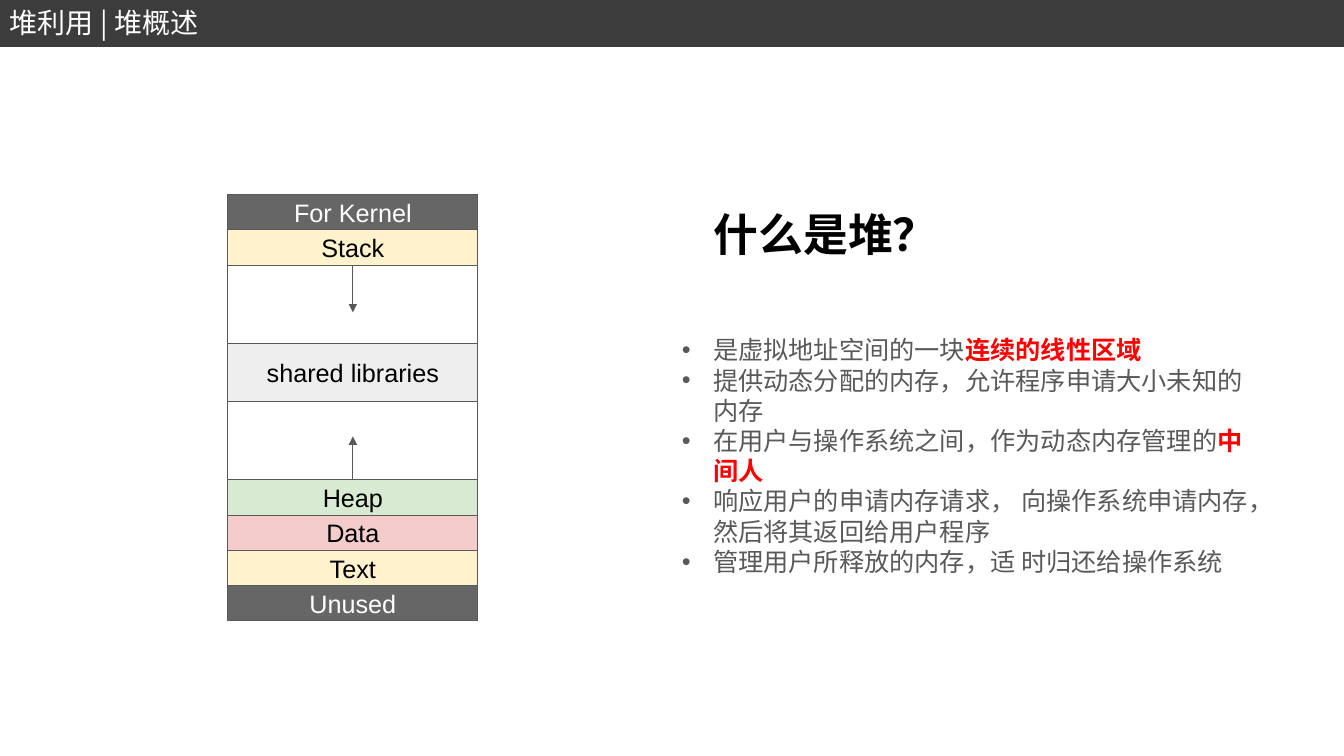
from lxml import etree
from pptx import Presentation
from pptx import util as u
from pptx.dml.color import RGBColor
from pptx.enum import shapes, text
from pptx.oxml import ns

WIDE, HIGH = 13.33, 7.5
SANS, HAN = "Arial", "Noto Sans CJK SC"
HUES = {
    "bar": "3C3C3C", "dark": "666666", "edge": "595959", "gray": "EEEEEE",
    "cream": "FFF2CC", "green": "D9EAD3", "pink": "F4CCCC",
    "white": "FFFFFF", "black": "000000", "red": "FF0000",
}

HEADER = "堆利用 | 堆概述"
TITLE = "什么是堆？"
# Label, height, fill, text colour
REGIONS = [
    ("For Kernel", 0.35, "dark", "white"),
    ("Stack", 0.35, "cream", "black"),
    ("", 0.78, "white", "black"),
    ("shared libraries", 0.57, "gray", "black"),
    ("", 0.78, "white", "black"),
    ("Heap", 0.35, "green", "black"),
    ("Data", 0.35, "pink", "black"),
    ("Text", 0.35, "cream", "black"),
    ("Unused", 0.35, "dark", "white"),
]
GROWTH = {"Stack": 0.47, "Heap": -0.43}  # arrow length, down is positive
# Each point alternates plain and stressed runs
POINTS = [
    ("是虚拟地址空间的一块", "连续的线性区域"),
    ("提供动态分配的内存，允许程序申请大小未知的内存",),
    ("在用户与操作系统之间，作为动态内存管理的", "中间人"),
    ("响应用户的申请内存请求， 向操作系统申请内存，然后将其返回给用户程序",),
    ("管理用户所释放的内存，适 时归还给操作系统",),
]
LEFT, TOP, SPAN = 2.26, 1.93, 2.48
INDENT = 0.31

deck = Presentation()
deck.slide_width, deck.slide_height = u.Inches(WIDE), u.Inches(HIGH)
slide = deck.slides.add_slide(deck.slide_layouts[6])


def color(name):
    return RGBColor.from_string(HUES[name])


def write(para, words, size=18, face=HAN, hue="black", bold=False):
    run = para.add_run()
    run.text = words
    font = run.font
    font.size, font.bold, font.name = u.Pt(size), bold, face
    font.color.rgb = color(hue)
    east = etree.SubElement(font._element, ns.qn("a:ea"))
    east.set("typeface", face)


def block(x, y, w, h, fill, edge, weight):
    box = slide.shapes.add_shape(
        shapes.MSO_SHAPE.RECTANGLE, *map(u.Inches, (x, y, w, h)))
    box.shadow.inherit = False
    box.fill.solid()
    box.fill.fore_color.rgb = color(fill)
    box.line.color.rgb = color(edge)
    box.line.width = u.Pt(weight)
    return box


def frame(x, y, w, h, wrap=True):
    area = slide.shapes.add_textbox(*map(u.Inches, (x, y, w, h))).text_frame
    area.word_wrap = wrap
    area.auto_size = text.MSO_AUTO_SIZE.SHAPE_TO_FIT_TEXT
    return area


def arrow(x, start, end):
    line = slide.shapes.add_connector(
        shapes.MSO_CONNECTOR.STRAIGHT, *map(u.Inches, (x, start, x, end)))
    line.line.color.rgb = color("edge")
    line.line.width = u.Pt(0.75)
    tip = etree.SubElement(line.line._get_or_add_ln(), ns.qn("a:tailEnd"))
    tip.set("type", "triangle")
    etree.SubElement(line._element.spPr, ns.qn("a:effectLst"))


def bullet(para):
    props = para._p.get_or_add_pPr()
    props.set("marL", str(u.Inches(INDENT)))
    props.set("indent", str(-u.Inches(INDENT)))
    etree.SubElement(props, ns.qn("a:buFont")).set("typeface", SANS)
    etree.SubElement(props, ns.qn("a:buChar")).set("char", "•")


block(0, 0.01, WIDE, 0.44, "bar", "bar", 2)

y = TOP
starts = {}
for label, tall, fill, hue in REGIONS:
    box = block(LEFT, y, SPAN, tall, fill, "edge", 0.75)
    if label:
        area = box.text_frame
        area.margin_top = area.margin_bottom = u.Inches(0.1)
        area.vertical_anchor = text.MSO_ANCHOR.MIDDLE
        para = area.paragraphs[0]
        para.alignment = text.PP_ALIGN.CENTER
        write(para, label, face=SANS, hue=hue)
    if label in GROWTH:
        starts[label] = y + tall if GROWTH[label] > 0 else y
    y += tall
for label, start in starts.items():
    arrow(LEFT + SPAN / 2, start, start + GROWTH[label])

write(frame(6.98, 2, 2.45, 0.64, wrap=False).paragraphs[0],
      TITLE, size=32, bold=True)

area = frame(WIDE / 2, 3.27, 5.93, 2.52)
for i, runs in enumerate(POINTS):
    para = area.add_paragraph() if i else area.paragraphs[0]
    bullet(para)
    for j, words in enumerate(runs):
        write(para, words, hue="red" if j else "edge", bold=bool(j))

write(frame(0, 0.01, 6.17, 0.44).paragraphs[0], HEADER, size=20, hue="white")

deck.save("out.pptx")
